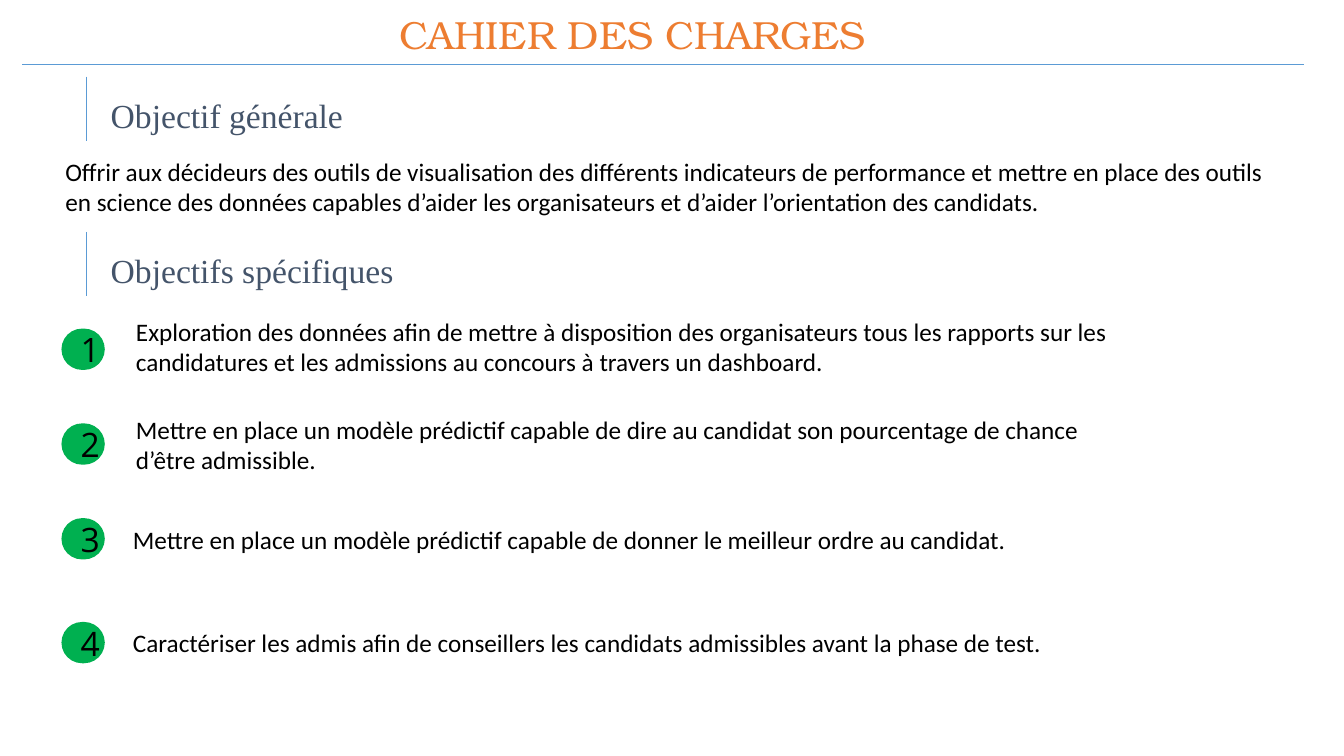
"""Build the slide that lists the general and specific objectives."""
from dataclasses import dataclass

from pptx import Presentation
from pptx.dml.color import RGBColor
from pptx.enum.shapes import MSO_CONNECTOR, MSO_SHAPE as Shape
from pptx.enum.text import MSO_ANCHOR as Anchor, MSO_AUTO_SIZE as AutoSize, PP_ALIGN as Align
from pptx.oxml.ns import qn
from pptx.slide import Slide
from pptx.text.text import TextFrame
from pptx.util import Inches, Pt

BLUE, GREEN, BLACK = "5B9BD5", "00B050", "000000"


@dataclass(frozen=True)
class Style:
    font: str
    size: int
    color: str
    align: Align = Align.LEFT


@dataclass(frozen=True)
class Heading:
    top: float
    text: str


@dataclass(frozen=True)
class Objective:
    badge_top: float
    left: float
    top: float
    height: float
    text: str


TITLE = Style("TeX Gyre Bonum", 28, "ED7D31", Align.CENTER)
HEADING = Style("Times New Roman", 24, "44546A")
BODY = Style("Calibri", 18, BLACK)
NUMBER = Style("Open Sans", 24, BLACK, Align.CENTER)

HEADINGS = [
    Heading(0.76, "Objectif générale"),
    Heading(2.3, "Objectifs spécifiques"),
]
GENERAL_GOAL = [
    "Offrir aux décideurs des outils de visualisation des différents indicateurs "
    "de performance et mettre en place des outils",
    "en science des données capables d’aider les organisateurs et d’aider "
    "l’orientation des candidats.",
]
OBJECTIVES = [
    Objective(3.26, 1.25, 3.09, 0.71,
              "Exploration des données afin de mettre à disposition des organisateurs tous les "
              "rapports sur les candidatures et les admissions au concours à travers un dashboard."),
    Objective(4.2, 1.25, 4.06, 0.71,
              "Mettre en place un modèle prédictif capable de dire au candidat son pourcentage "
              "de chance d’être admissible."),
    Objective(5.14, 1.22, 5.15, 0.4,
              "Mettre en place un modèle prédictif capable de donner le meilleur ordre au candidat."),
    Objective(6.17, 1.22, 6.17, 0.4,
              "Caractériser les admis afin de conseillers les candidats admissibles avant la "
              "phase de test."),
]


def rgb(color: str) -> RGBColor:
    """Turn a hex string into a colour."""
    return RGBColor.from_string(color)


def write(frame: TextFrame, lines: list[str], style: Style) -> None:
    """Write one paragraph per line in the given style."""
    frame.word_wrap = True
    for index, line in enumerate(lines):
        para = frame.add_paragraph() if index else frame.paragraphs[0]
        para.alignment = style.align
        span = para.add_run()
        span.text = line
        span.font.name = style.font
        span.font.size = Pt(style.size)
        span.font.color.rgb = rgb(style.color)


def add_text(page: Slide, left: float, top: float, width: float, height: float,
             lines: list[str], style: Style) -> None:
    """Add a text box that grows with its text."""
    box = page.shapes.add_textbox(Inches(left), Inches(top), Inches(width), Inches(height))
    box.text_frame.auto_size = AutoSize.SHAPE_TO_FIT_TEXT
    write(box.text_frame, lines, style)


def add_rule(page: Slide, x1: float, y1: float, x2: float, y2: float) -> None:
    """Add a thin blue line without a shadow."""
    rule = page.shapes.add_connector(
        MSO_CONNECTOR.STRAIGHT, Inches(x1), Inches(y1), Inches(x2), Inches(y2))
    rule.line.color.rgb = rgb(BLUE)
    rule.line.width = Pt(0.5)
    properties = rule.element.spPr
    properties.append(properties.makeelement(qn("a:effectLst"), {}))


def add_heading(page: Slide, heading: Heading) -> None:
    """Add a section heading with its vertical rule."""
    add_rule(page, 0.86, heading.top, 0.86, heading.top + 0.64)
    add_text(page, 1, heading.top + 0.13, 4.66, 0.5, [heading.text], HEADING)


def add_objective(page: Slide, number: int, objective: Objective) -> None:
    """Add a numbered badge and its objective."""
    badge = page.shapes.add_shape(
        Shape.ROUNDED_RECTANGLE, Inches(0.61), Inches(objective.badge_top),
        Inches(0.43), Inches(0.41))
    badge.adjustments[0] = 0.5
    badge.shadow.inherit = False
    badge.fill.solid()
    badge.fill.fore_color.rgb = rgb(GREEN)
    badge.line.fill.background()
    frame = badge.text_frame
    frame.vertical_anchor = Anchor.MIDDLE
    frame.margin_left = frame.margin_right = Inches(0.13)
    frame.margin_top = frame.margin_bottom = Inches(0.13)
    write(frame, [str(number)], NUMBER)
    add_text(page, objective.left, objective.top, 10.11, objective.height,
             [objective.text], BODY)


def main() -> None:
    """Build and save the deck."""
    deck = Presentation()
    deck.slide_width, deck.slide_height = Inches(13.33), Inches(7.5)
    page = deck.slides.add_slide(deck.slide_layouts[6])
    add_rule(page, 0.22, 0.64, 12.93, 0.64)
    add_text(page, 3.46, 0.05, 5.62, 0.57, ["CAHIER DES CHARGES"], TITLE)
    for heading in HEADINGS:
        add_heading(page, heading)
    add_text(page, 0.55, 1.5, 12.56, 0.71, GENERAL_GOAL, BODY)
    for number, objective in enumerate(OBJECTIVES, start=1):
        add_objective(page, number, objective)
    deck.save("out.pptx")


if __name__ == "__main__":
    main()
